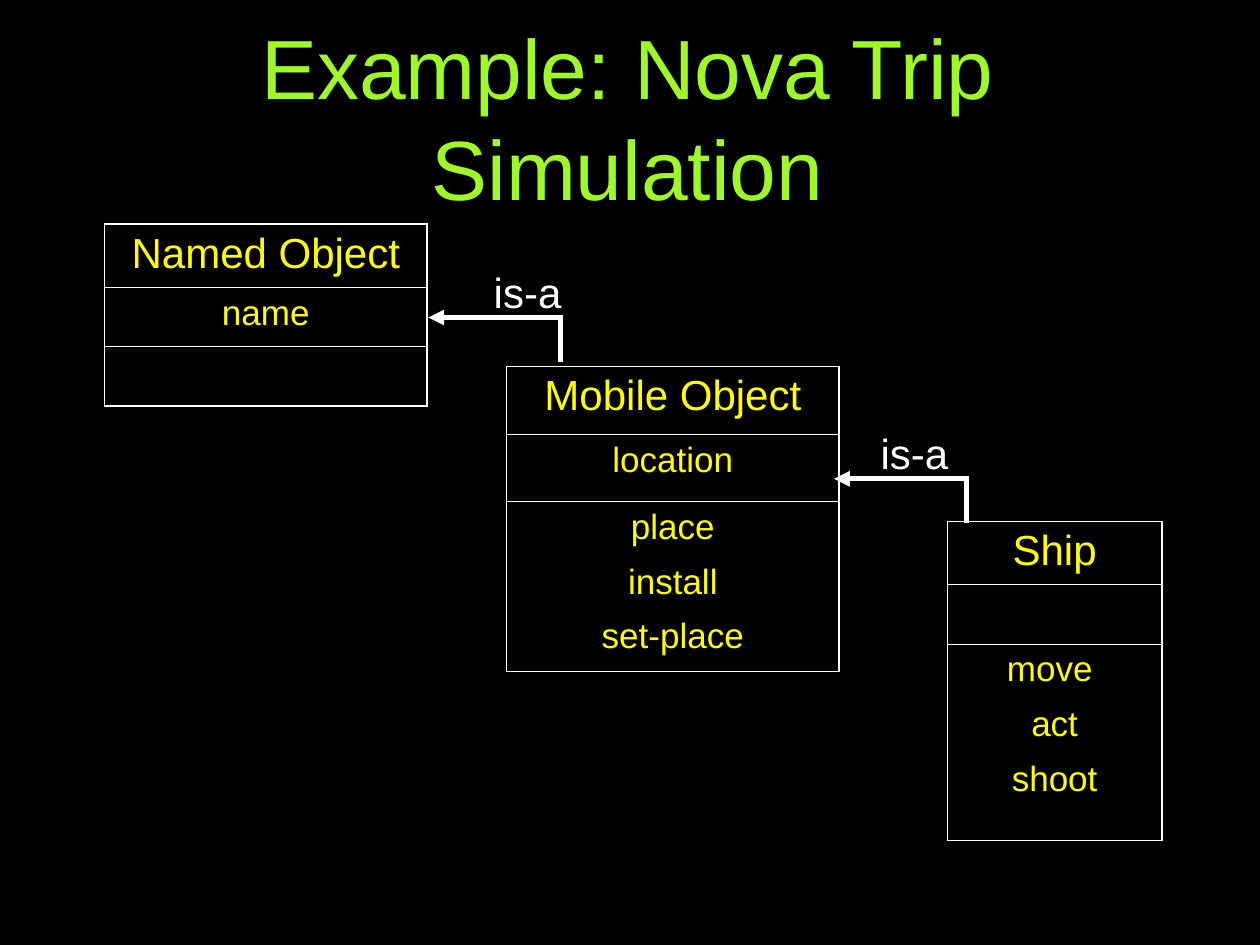
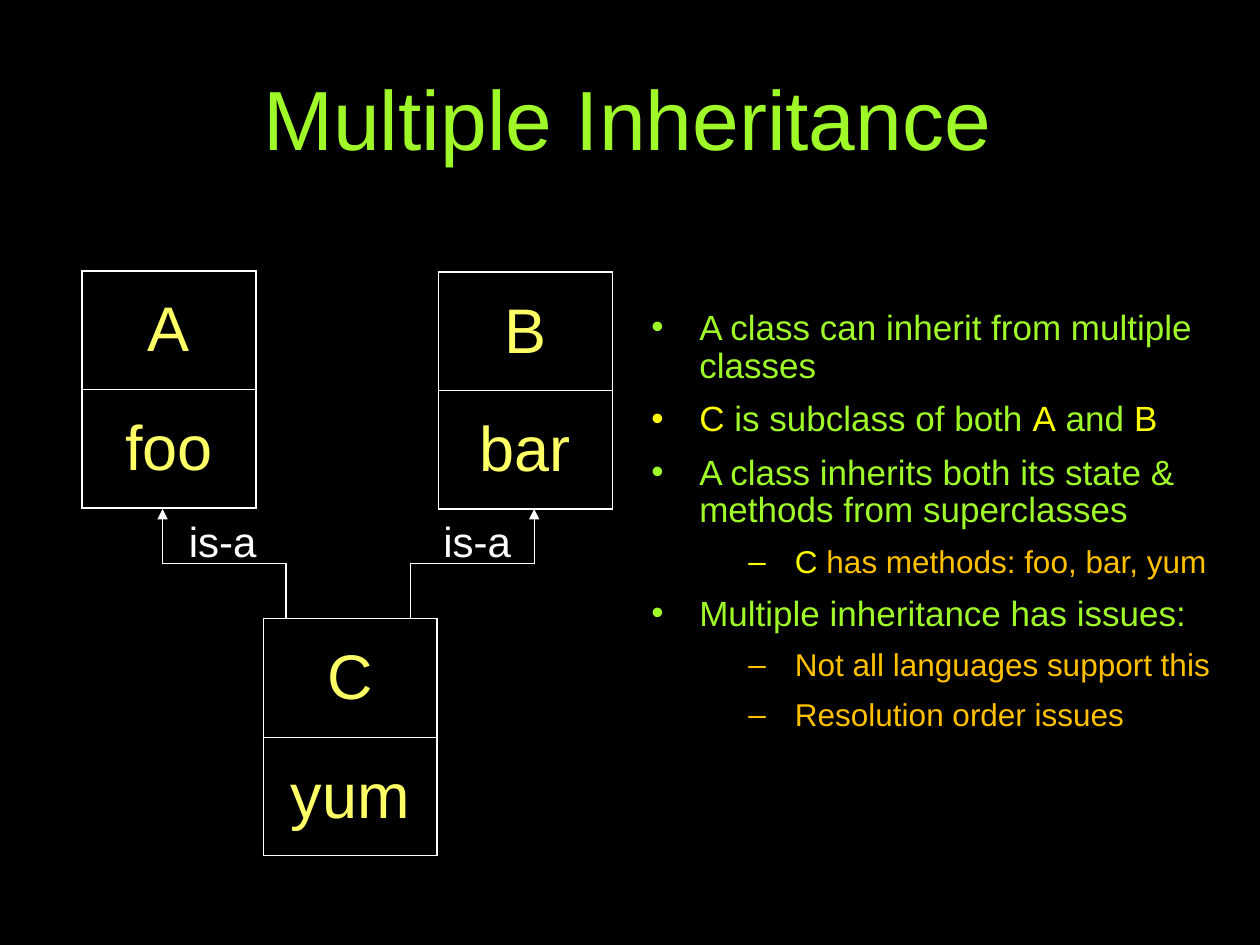
import dataclasses

import lxml.etree
import pptx
import pptx.dml.color
import pptx.enum.shapes
import pptx.enum.text
import pptx.oxml.ns
import pptx.util


@dataclasses.dataclass(frozen=True)
class Theme:
    font: str = "Arial"
    background: str = "000000"
    green: str = "9FF828"
    yellow: str = "FFFF00"
    pale_yellow: str = "FFFF66"
    orange: str = "FFC000"
    white: str = "FFFFFF"
    title_size: int = 48
    letter_size: int = 36
    heading_size: int = 24
    text_size: int = 20
    detail_size: int = 18
    paragraph_gap: int = 9
    outer_border: float = 1.08
    inner_border: float = 0.45


theme = Theme()
qn = pptx.oxml.ns.qn
Pt = pptx.util.Pt
CENTER = pptx.enum.text.PP_ALIGN.CENTER
MIDDLE = pptx.enum.text.MSO_ANCHOR.MIDDLE
TOP = pptx.enum.text.MSO_ANCHOR.TOP

presentation = pptx.Presentation()
presentation.slide_width = pptx.util.Inches(10)
presentation.slide_height = pptx.util.Inches(7.5)
column = presentation.slide_width / 100
row = presentation.slide_height / 75


def apply_format(target, values):
    for name, value in values.items():
        setattr(target, name, value)


def write_runs(paragraph, runs, size):
    for text, color in runs:
        run = paragraph.add_run()
        run.text = text
        apply_format(run.font, {"name": theme.font, "size": Pt(size)})
        run.font.color.rgb = pptx.dml.color.RGBColor.from_string(color)


green, yellow, orange = theme.green, theme.yellow, theme.orange
class_style = {"sizes": [theme.heading_size, theme.text_size, theme.text_size],
               "color": yellow, "anchor": TOP}
letter_style = {"sizes": [theme.letter_size] * 2,
                "color": theme.pale_yellow, "anchor": MIDDLE}
slides = [
    {
        "title": "Example: Nova Trip Simulation",
        "style": class_style,
        "classes": [
            (40.2, 29.1, 26.4, [5.35, 5.35, 13.45],
             [["Mobile Object"], ["location"], ["place", "install", "set-place"]]),
            (8.3, 17.8, 25.6, [5, 4.7, 4.7], [["Named Object"], ["name"], []]),
            (75.2, 41.4, 17, [5, 4.7, 15.6], [["Ship"], [], ["move ", "act", "shoot"]]),
        ],
        "line_width": 3,
        "links": [
            [(44.5, 28.5), (44.5, 25.2), (34, 25.2)],
            [(76.7, 41.3), (76.7, 38), (66.2, 38)],
        ],
        "labels": [(38.2, 20.7), (68.9, 33.4)],
        "bullets": [],
    },
    {
        "title": "Multiple Inheritance",
        "style": letter_style,
        "classes": [
            (6.5, 21.5, 13.8, [9.4, 9.4], [["A"], ["foo"]]),
            (34.8, 21.6, 13.8, [9.4, 9.4], [["B"], ["bar"]]),
            (20.9, 49.1, 13.8, [9.4, 9.4], [["C"], ["yum"]]),
        ],
        "line_width": 0.75,
        "links": [
            [(22.7, 49.1), (22.7, 44.7), (12.9, 44.7), (12.9, 40.4)],
            [(32.6, 49.1), (32.6, 44.7), (42.4, 44.7), (42.4, 40.4)],
        ],
        "labels": [(14, 40.4), (34.2, 40.4)],
        "bullets": [
            (0, [("A class can inherit from multiple classes", green)]),
            (0, [("C", yellow), (" is subclass of both ", green), ("A", yellow),
                 (" and ", green), ("B", yellow)]),
            (0, [("A class inherits both its state & methods from superclasses", green)]),
            (1, [("C", yellow), (" has methods: foo, bar, yum", orange)]),
            (0, [("Multiple inheritance has issues:", green)]),
            (1, [("Not all languages support this", orange)]),
            (1, [("Resolution order issues", orange)]),
        ],
    },
]
bullet_levels = [
    {"mark": "•", "size": theme.text_size, "left": 4.2, "hanging": 3.8},
    {"mark": "–", "size": theme.detail_size, "left": 11.8, "hanging": 3.7},
]
text_frame_format = {"word_wrap": True, "margin_left": round(0.6 * column),
                     "margin_right": round(column), "margin_top": round(0.6 * row),
                     "margin_bottom": round(0.6 * row)}

for content in slides:
    slide = presentation.slides.add_slide(presentation.slide_layouts[6])
    slide.background.fill.solid()
    slide.background.fill.fore_color.rgb = pptx.dml.color.RGBColor.from_string(theme.background)

    title = slide.shapes.add_textbox(
        round(5 * column), round(0.7 * row), round(90 * column), round(17.1 * row))
    apply_format(title.text_frame, {**text_frame_format, "vertical_anchor": MIDDLE})
    paragraph = title.text_frame.paragraphs[0]
    paragraph.alignment = CENTER
    write_runs(paragraph, [(content["title"], green)], theme.title_size)

    if content["bullets"]:
        body = slide.shapes.add_textbox(
            round(50.7 * column), round(24 * row), round(49.3 * column), round(40.2 * row))
        apply_format(body.text_frame, text_frame_format)
    for index, (level, runs) in enumerate(content["bullets"]):
        look = bullet_levels[level]
        paragraph = body.text_frame.add_paragraph() if index else body.text_frame.paragraphs[0]
        properties = paragraph._p.get_or_add_pPr()
        properties.set("marL", str(round(look["left"] * column)))
        properties.set("indent", str(-round(look["hanging"] * column)))
        bullet_color = lxml.etree.SubElement(properties, qn("a:buClr"))
        lxml.etree.SubElement(bullet_color, qn("a:srgbClr"), val=runs[0][1])
        lxml.etree.SubElement(properties, qn("a:buFont"), typeface=theme.font)
        lxml.etree.SubElement(properties, qn("a:buChar"), char=look["mark"])
        apply_format(paragraph, {"level": level, "line_spacing": 0.9,
                                 "space_before": Pt(theme.paragraph_gap if index else 0)})
        write_runs(paragraph, runs, look["size"])

    style = content["style"]
    for left, top, width, heights, cells in content["classes"]:
        table = slide.shapes.add_table(
            len(cells), 1, round(left * column), round(top * row),
            round(width * column), round(sum(heights) * row)).table
        apply_format(table, {"first_row": False, "horz_banding": False})
        for index, (height, lines, size) in enumerate(zip(heights, cells, style["sizes"])):
            table.rows[index].height = round(height * row)
            cell = table.cell(index, 0)
            cell.vertical_anchor = style["anchor"]
            borders = {
                "a:lnL": theme.outer_border,
                "a:lnR": theme.outer_border,
                "a:lnT": theme.inner_border if index else theme.outer_border,
                "a:lnB": theme.inner_border if index < len(cells) - 1 else theme.outer_border,
            }
            for side, weight in borders.items():
                border = lxml.etree.SubElement(
                    cell._tc.get_or_add_tcPr(), qn(side), w=str(Pt(weight)))
                fill = lxml.etree.SubElement(border, qn("a:solidFill"))
                lxml.etree.SubElement(fill, qn("a:srgbClr"), val=theme.white)
            cell.fill.background()
            for number, line in enumerate(lines):
                frame = cell.text_frame
                paragraph = frame.add_paragraph() if number else frame.paragraphs[0]
                apply_format(paragraph, {"alignment": CENTER,
                                         "space_before": Pt(theme.paragraph_gap if number else 0)})
                write_runs(paragraph, [(line, style["color"])], size)

    for points in content["links"]:
        for start, end in zip(points, points[1:]):
            connector = slide.shapes.add_connector(
                pptx.enum.shapes.MSO_CONNECTOR.STRAIGHT,
                round(start[0] * column), round(start[1] * row),
                round(end[0] * column), round(end[1] * row))
            connector.line.width = Pt(content["line_width"])
            connector.line.color.rgb = pptx.dml.color.RGBColor.from_string(theme.white)
            properties = connector.element.spPr
            outline = properties.find(qn("a:ln"))
            if end == points[-1]:
                lxml.etree.SubElement(outline, qn("a:tailEnd"), type="triangle")
            else:
                outline.set("cap", "sq")
            lxml.etree.SubElement(properties, qn("a:effectLst"))

    for left, top in content["labels"]:
        label = slide.shapes.add_textbox(
            round(left * column), round(top * row), round(7.6 * column), round(5 * row))
        apply_format(label.text_frame, {
            "word_wrap": False, "auto_size": pptx.enum.text.MSO_AUTO_SIZE.NONE})
        write_runs(label.text_frame.paragraphs[0], [("is-a", theme.white)], theme.heading_size)

presentation.save("out.pptx")
